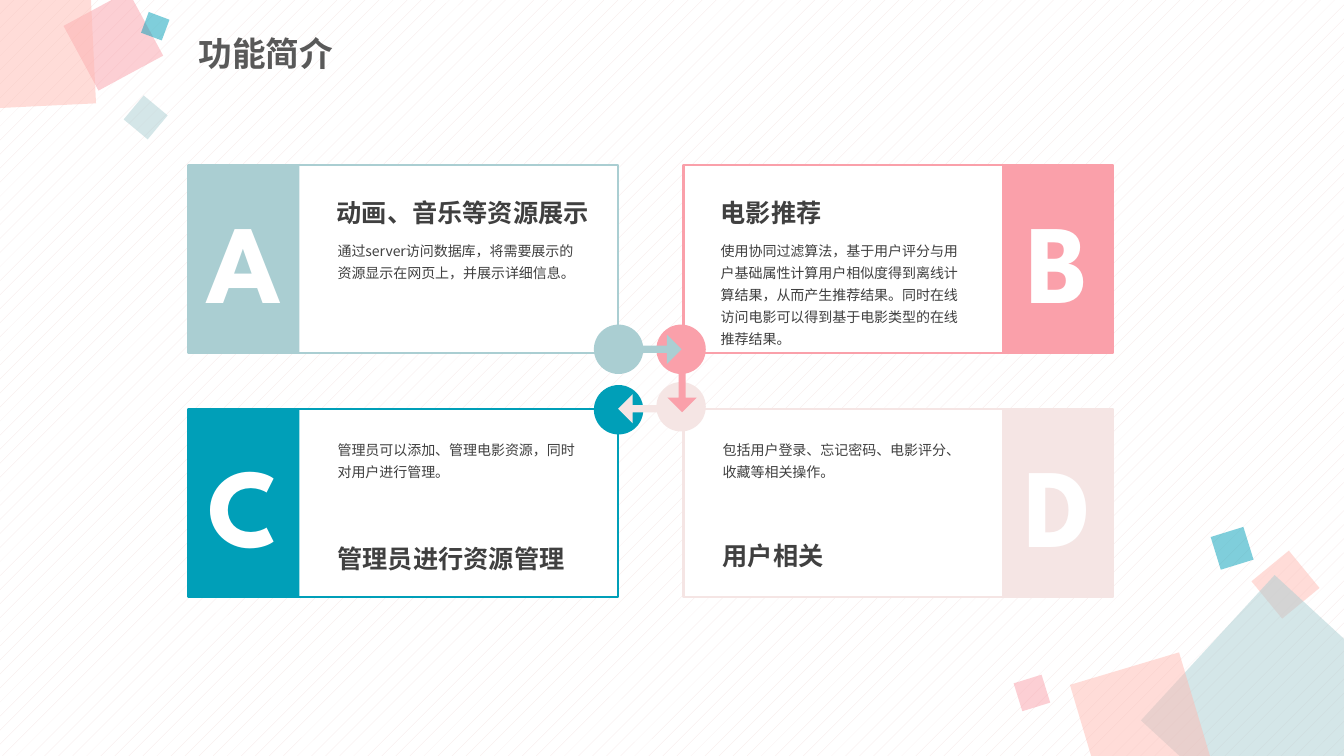
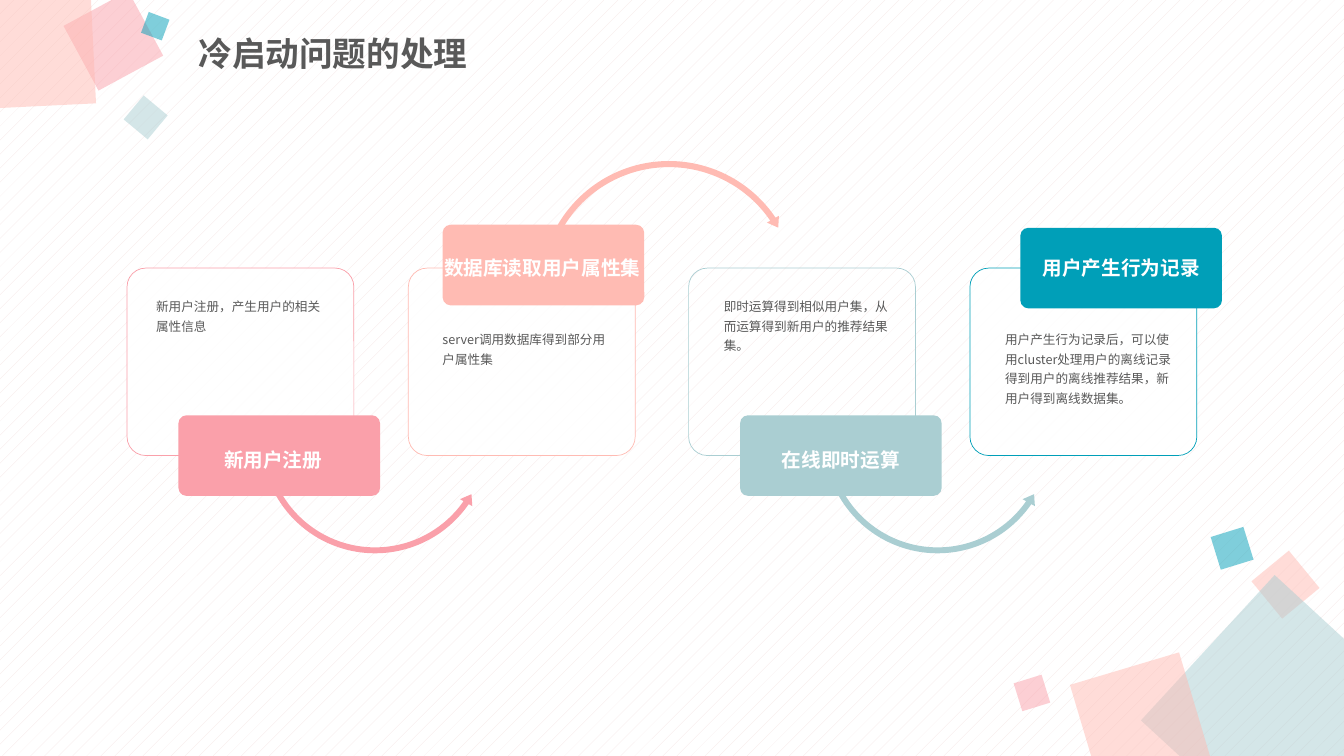
from dataclasses import dataclass
from typing import NamedTuple, Optional

from lxml.etree import SubElement
from pptx import Presentation
from pptx.dml.color import RGBColor
from pptx.enum.dml import MSO_PATTERN
from pptx.enum.shapes import MSO_SHAPE as SHP
from pptx.enum.text import MSO_ANCHOR as ANC, MSO_AUTO_SIZE as AUTO, PP_ALIGN as AL
from pptx.oxml.ns import qn
from pptx.util import Emu, Pt

# Shared scale, colours and fonts
PX = 9144  # 100 px to the inch
SAGE, PINK, TEAL, BLUSH, PEACH = "AACED2", "FAA0AA", "009FB8", "F5E5E4", "FFBBB3"
WHITE, DARK, GREY = "FFFFFF", "404040", "595959"
SANS, DISPLAY = "Noto Sans CJK SC", "League Spartan"


class Box(NamedTuple):
    x: int
    y: int
    w: int
    h: int


class Deco(NamedTuple):
    x: int
    y: int
    size: int
    rot: float
    color: str


@dataclass
class Style:
    size: int
    color: str
    font: str = SANS
    bold: bool = False
    align: AL = AL.LEFT
    spacing: float = 1.3
    before: int = 0


@dataclass
class Card:
    letter: str
    color: str
    box: Box
    bar_x: int
    head: str
    head_box: Box
    body: str
    body_box: Box
    dot: tuple[int, int]


@dataclass
class Arrow:
    shape: SHP
    box: Box
    adj: tuple[float, ...]


@dataclass
class Step:
    color: str
    tab: tuple[int, int]
    label: str
    label_box: Box
    body: str
    body_box: Box
    arrow: Optional[Arrow] = None
    filled: bool = True


TITLE = Style(24, GREY, bold=True, spacing=0.9, before=10)
LETTER = Style(80, WHITE, DISPLAY, True, AL.CENTER, 1.0)
HEAD = Style(18, DARK, DISPLAY, True)
BODY = Style(10, DARK)
LABEL = Style(14, WHITE, DISPLAY, True, AL.CENTER)
NOTE = Style(9, GREY)

DECOS = [
    Deco(1251, 556, 48, 320.6, PEACH),
    Deco(1172, 611, 196, 42.6, SAGE),
    Deco(1075, 661, 113, 343.4, PEACH),
    Deco(1009, 673, 29, 342.8, PINK),
    Deco(1205, 527, 34, 342.8, TEAL),
    Deco(76, 4, 73, 331.6, PINK),
    Deco(-46, -32, 138, 357.2, PEACH),
    Deco(129, 101, 31, 309.8, SAGE),
    Deco(143, 15, 22, 290.5, TEAL),
]


# Helpers
def rgb(color: str) -> RGBColor:
    return RGBColor.from_string(color)


def emu(box: Box) -> list[Emu]:
    return [Emu(v * PX) for v in box]


def add_shape(s, kind: SHP, box: Box, fill: Optional[str], line: Optional[str] = None,
              width: float = 1.5, alpha: int = 100, rot: float = 0,
              adj: tuple[float, ...] = ()):
    sp = s.shapes.add_shape(kind, *emu(box))
    sp.shadow.inherit = False
    sp.rotation = rot
    for i, value in enumerate(adj):
        sp.adjustments[i] = value
    if fill:
        sp.fill.solid()
        sp.fill.fore_color.rgb = rgb(fill)
        if alpha < 100:
            clr = sp.element.spPr.find(qn("a:solidFill")).find(qn("a:srgbClr"))
            SubElement(clr, qn("a:alpha")).set("val", str(alpha * 1000))
    else:
        sp.fill.background()
    if line:
        sp.line.color.rgb = rgb(line)
        sp.line.width = Pt(width)
    else:
        sp.line.fill.background()
    return sp


def write(tf, text: str, st: Style) -> None:
    p = tf.paragraphs[0]
    para_fmt = dict(alignment=st.align, line_spacing=st.spacing, space_before=Pt(st.before))
    for key, value in para_fmt.items():
        setattr(p, key, value)
    r = p.add_run()
    r.text = text
    font_fmt = dict(name=st.font, size=Pt(st.size), bold=st.bold)
    for key, value in font_fmt.items():
        setattr(r.font, key, value)
    r.font.color.rgb = rgb(st.color)
    SubElement(r.font._element, qn("a:ea")).set("typeface", SANS)


def add_text(s, box: Box, text: str, st: Style, anchor: ANC = ANC.TOP,
             auto: AUTO = AUTO.SHAPE_TO_FIT_TEXT) -> None:
    tf = s.shapes.add_textbox(*emu(box)).text_frame
    for key, value in dict(word_wrap=True, auto_size=auto, vertical_anchor=anchor).items():
        setattr(tf, key, value)
    write(tf, text, st)


def new_slide(prs, title: str):
    s = prs.slides.add_slide(prs.slide_layouts[6])
    fill = s.background.fill
    fill.patterned()
    fill.pattern = MSO_PATTERN.PERCENT_5
    fill.fore_color.rgb, fill.back_color.rgb = rgb(BLUSH), rgb(WHITE)
    for d in DECOS:
        add_shape(s, SHP.RECTANGLE, Box(d.x, d.y, d.size, d.size), d.color,
                  alpha=50, rot=d.rot)
    add_text(s, Box(187, 26, 613, 58), title, TITLE, ANC.MIDDLE, AUTO.NONE)
    return s


# Slide 1: four lettered cards joined by arrows
LEFT, RIGHT, TOP, BOTTOM = 187, 678, 164, 406
CARD_W, CARD_H, BAR_W, DOT = 426, 186, 110, 49
RIGHT_BAR = RIGHT + CARD_W - BAR_W

CARDS = [
    Card("A", SAGE, Box(LEFT, TOP, CARD_W, CARD_H), LEFT,
         "动画、音乐等资源展示", Box(324, 182, 288, 49),
         "通过server访问数据库，将需要展示的资源显示在网页上，并展示详细信息。",
         Box(325, 231, 260, 54), (589, 322)),
    Card("B", PINK, Box(RIGHT, TOP, CARD_W, CARD_H), RIGHT_BAR,
         "电影推荐", Box(705, 182, 260, 49),
         "使用协同过滤算法，基于用户评分与用户基础属性计算用户相似度得到离线计算结果，"
         "从而产生推荐结果。同时在线访问电影可以得到基于电影类型的在线推荐结果。",
         Box(705, 231, 260, 119), (651, 322)),
    Card("C", TEAL, Box(LEFT, BOTTOM, CARD_W, CARD_H), LEFT,
         "管理员进行资源管理", Box(325, 525, 260, 49),
         "管理员可以添加、管理电影资源，同时对用户进行管理。",
         Box(325, 428, 260, 54), (589, 382)),
    Card("D", BLUSH, Box(RIGHT, BOTTOM, CARD_W, CARD_H), RIGHT_BAR,
         "用户相关", Box(707, 522, 367, 49),
         "包括用户登录、忘记密码、电影评分、收藏等相关操作。",
         Box(707, 428, 260, 54), (651, 379)),
]
LINKS = [(629, 332, 0, SAGE), (653, 371, 90, PINK), (613, 391, 180, BLUSH)]


def draw_card(s, c: Card) -> None:
    add_shape(s, SHP.RECTANGLE, c.box, WHITE, c.color)
    bar = add_shape(s, SHP.RECTANGLE, Box(c.bar_x, c.box.y, BAR_W, CARD_H), c.color)
    tf = bar.text_frame
    tf.word_wrap, tf.vertical_anchor = False, ANC.MIDDLE
    write(tf, c.letter, LETTER)
    add_text(s, c.body_box, c.body, BODY)
    add_text(s, c.head_box, c.head, HEAD)
    add_shape(s, SHP.OVAL, Box(*c.dot, DOT, DOT), c.color)


def features_slide(prs) -> None:
    s = new_slide(prs, "功能简介")
    for card in CARDS:
        draw_card(s, card)
    for x, y, rot, color in LINKS:
        add_shape(s, SHP.RIGHT_ARROW, Box(x, y, 47, 29), color, rot=rot, adj=(0.244, 0.5))


# Slide 2: four steps linked by curved arrows
STEP_X, STEP_PITCH, STEP_Y = 126, 278.7, 266
UNDER = (0.025, 3.094, 20.849, 90.245, 0.03)
OVER = (0.023, 2.738, 195.507, 125.755, 0.026)

STEPS = [
    Step(PINK, (177, 412), "新用户注册", Box(177, 432, 188, 41),
         "新用户注册，产生用户的相关属性信息", Box(145, 287, 188, 49),
         Arrow(SHP.LEFT_CIRCULAR_ARROW, Box(255, 319, 234, 234), UNDER)),
    Step(PEACH, (439, 223), "数据库读取用户属性集", Box(428, 242, 220, 41),
         "server调用数据库得到部分用户属性集", Box(429, 320, 188, 49),
         Arrow(SHP.CIRCULAR_ARROW, Box(532, 156, 263, 263), OVER)),
    Step(SAGE, (734, 412), "在线即时运算", Box(740, 432, 188, 41),
         "即时运算得到相似用户集，从而运算得到新用户的推荐结果集。", Box(708, 287, 188, 69),
         Arrow(SHP.LEFT_CIRCULAR_ARROW, Box(813, 319, 234, 234), UNDER), filled=False),
    Step(TEAL, (1012, 226), "用户产生行为记录", Box(1018, 242, 188, 41),
         "用户产生行为记录后，可以使用cluster处理用户的离线记录得到用户的离线推荐结果，"
         "新用户得到离线数据集。", Box(987, 320, 188, 88)),
]


def draw_step(s, i: int, st: Step) -> None:
    frame = Box(round(STEP_X + i * STEP_PITCH), STEP_Y, 225, 186)
    add_shape(s, SHP.ROUNDED_RECTANGLE, frame, WHITE if st.filled else None, st.color,
              width=0.5, alpha=90, adj=(0.1,))
    if st.arrow:
        add_shape(s, st.arrow.shape, st.arrow.box, st.color, adj=st.arrow.adj)
    add_shape(s, SHP.ROUNDED_RECTANGLE, Box(*st.tab, 200, 80), st.color, adj=(0.1,))
    add_text(s, st.body_box, st.body, NOTE)
    add_text(s, st.label_box, st.label, LABEL)


def cold_start_slide(prs) -> None:
    s = new_slide(prs, "冷启动问题的处理")
    for i, step in enumerate(STEPS):
        draw_step(s, i, step)


def main() -> None:
    prs = Presentation()
    prs.slide_width, prs.slide_height = Emu(1333 * PX), Emu(750 * PX)
    features_slide(prs)
    cold_start_slide(prs)
    prs.save("out.pptx")


if __name__ == "__main__":
    main()
